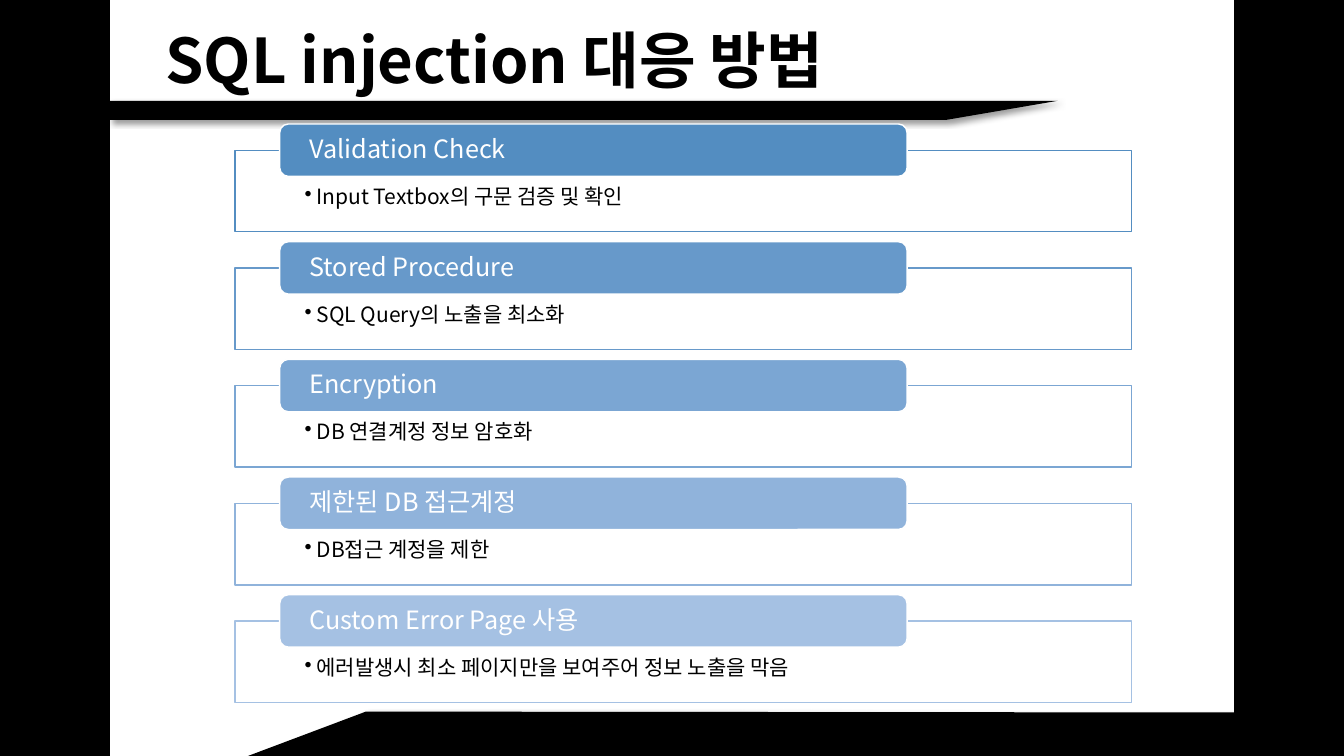
from pptx import Presentation
from pptx.dml.color import RGBColor
from pptx.enum.shapes import MSO_SHAPE
from pptx.enum.text import MSO_ANCHOR, PP_ALIGN
from pptx.oxml.ns import qn
from pptx.util import Inches, Pt
from lxml.etree import SubElement

WIDE, HIGH = 13.33, 7.5
FACE = "Noto Sans CJK KR"
SIDE = 1.08
STEPS = [
    ("Validation Check", "Input Textbox의 구문 검증 및 확인", "538DC1"),
    ("Stored Procedure", "SQL Query의 노출을 최소화", "6799CA"),
    ("Encryption", "DB 연결계정 정보 암호화", "7BA6D3"),
    ("제한된 DB 접근계정", "DB접근 계정을 제한", "90B3DB"),
    ("Custom Error Page 사용", "에러발생시 최소 페이지만을 보여주어 정보 노출을 막음", "A5C1E3"),
]


def paint(part, tone):
    if hasattr(part, "solid"):
        part.solid()
        part.fore_color.rgb = RGBColor.from_string(tone)
    else:
        part.rgb = RGBColor.from_string(tone)


def add_box(slide, kind, box, fill, edge):
    shape = slide.shapes.add_shape(kind, *map(Inches, box))
    shape.shadow.inherit = False
    paint(shape.fill, fill)
    paint(shape.line.fill, edge)
    shape.line.width = Pt(1)
    return shape


def write(shape, text, size, tone, pads, anchor, bold=False, dot=False):
    frame = shape.text_frame
    frame.word_wrap = True
    frame.vertical_anchor = anchor
    frame.margin_left, frame.margin_top, frame.margin_right, frame.margin_bottom = map(Inches, pads)
    frame.text = text
    para = frame.paragraphs[0]
    para.alignment = PP_ALIGN.LEFT
    para.line_spacing = 0.9
    props = para._p.get_or_add_pPr()
    if dot:
        props.set("marL", str(Inches(0.12)))
        props.set("indent", str(-Inches(0.12)))
        SubElement(props, qn("a:buChar"), char="•")
    font = para.font
    font.name, font.size, font.bold = FACE, Pt(size), bold
    paint(font.color, tone)
    SubElement(props.find(qn("a:defRPr")), qn("a:ea"), typeface=FACE)


def add_band(slide, points):
    start, *rest = [(Inches(x), Inches(y)) for x, y in points]
    pen = slide.shapes.build_freeform(*start)
    pen.add_line_segments(rest, close=True)
    band = pen.convert_to_shape()
    paint(band.fill, "000000")
    band.line.fill.background()
    band.shadow.inherit = False
    glow = SubElement(
        band._element.spPr.find(qn("a:effectLst")), qn("a:outerShdw"),
        blurRad=str(Pt(4)), dist=str(Pt(3)), dir="2700000", algn="tl", rotWithShape="0")
    tone = SubElement(glow, qn("a:srgbClr"), val="000000")
    SubElement(tone, qn("a:alpha"), val="40000")


def add_frame(slide):
    add_band(slide, [(SIDE, 1), (10.49, 1), (9.38, 1.19), (SIDE, 1.19)])
    add_band(slide, [(2.46, HIGH), (3.63, 7.06), (WIDE, 7.07), (WIDE, HIGH)])
    for left in (0, WIDE - SIDE):
        add_box(slide, MSO_SHAPE.RECTANGLE, (left, 0, SIDE, HIGH), "000000", "000000")


def add_title(slide, box, text):
    title = slide.shapes.title
    title.left, title.top, title.width, title.height = map(Inches, box)
    write(title, text, 44, "000000", (0.1, 0.05, 0.1, 0.05), MSO_ANCHOR.MIDDLE, bold=True)


def add_step(slide, box, head, note, tone):
    left, top, width, height = box
    card = add_box(slide, MSO_SHAPE.RECTANGLE, box, "FFFFFF", tone)
    write(card, note, 15, "000000", (0.69, 0.36, 0.69, 0.12), MSO_ANCHOR.TOP, dot=True)
    tab = add_box(slide, MSO_SHAPE.ROUNDED_RECTANGLE,
                  (left + width * 0.05, top - 0.26, width * 0.7, 0.52), tone, "FFFFFF")
    write(tab, head, 18, "FFFFFF", (0.27, 0, 0.27, 0), MSO_ANCHOR.MIDDLE)


def add_steps(slide, box):
    left, top, width, height = box
    card = 0.81
    pitch = (height - card) / (len(STEPS) - 1)
    for row, step in enumerate(STEPS):
        add_step(slide, (left, top + row * pitch, width, card), *step)


def main():
    deck = Presentation()
    deck.slide_width, deck.slide_height = Inches(WIDE), Inches(HIGH)
    slide = deck.slides.add_slide(deck.slide_layouts[5])
    add_frame(slide)
    add_title(slide, (1.54, 0.26, 9, 0.75), "SQL injection 대응 방법")
    add_steps(slide, (2.33, 1.49, 8.89, 5.48))
    deck.save("out.pptx")


if __name__ == "__main__":
    main()
